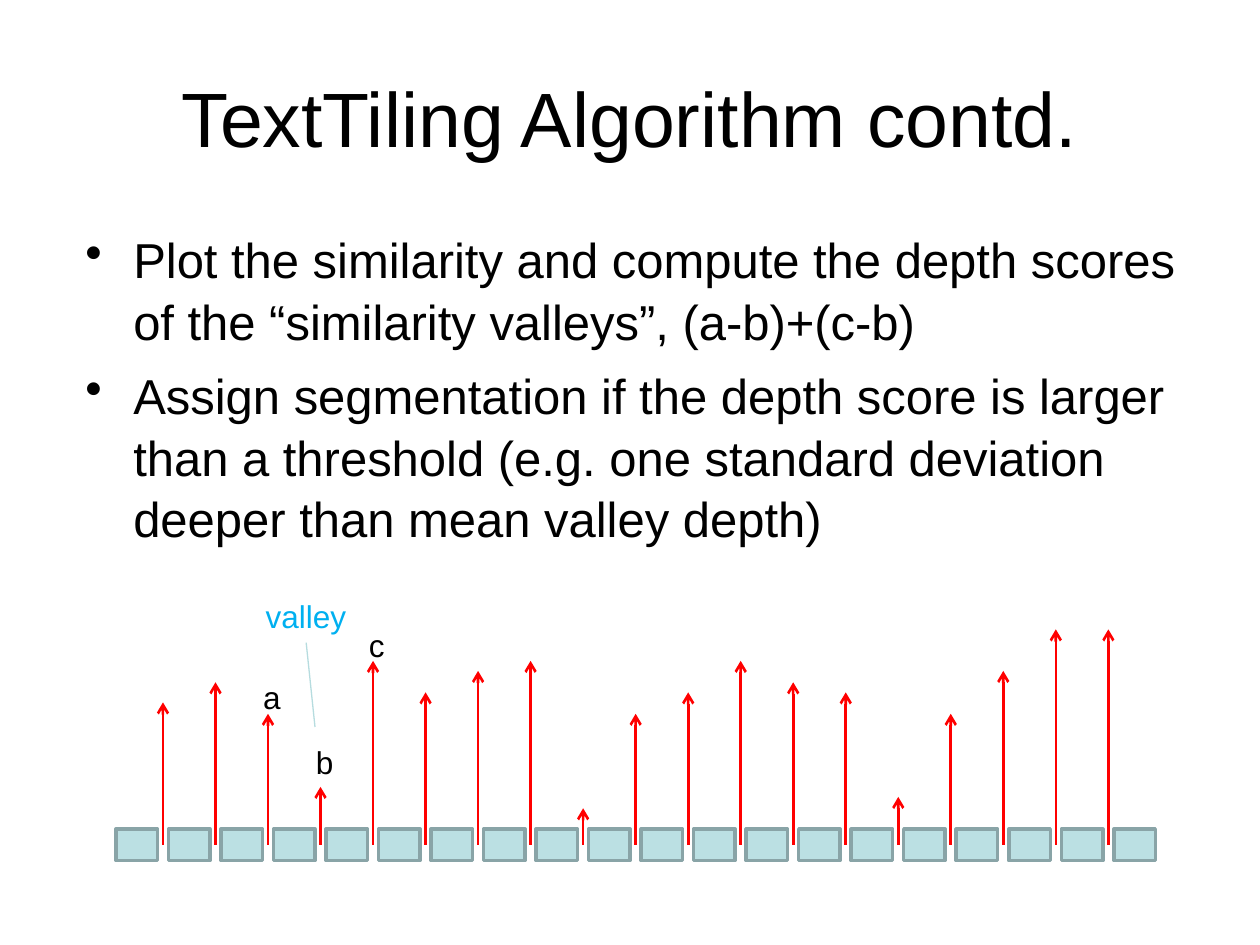
from dataclasses import dataclass

import pptx
import pptx.dml.color
import pptx.enum.shapes
import pptx.enum.text
import pptx.oxml
import pptx.oxml.ns
import pptx.util
from pptx.util import Inches, Pt


def rgb(code):
    return pptx.dml.color.RGBColor.from_string(code)


@dataclass(frozen=True)
class Theme:
    font: str = "Arial"
    text: str = "000000"
    accent: str = "00B0F0"
    block: str = "BBE0E3"
    block_edge: str = "89A4A7"
    arrow: str = "FF0000"
    pointer: str = "B6DCDF"
    title_size: int = 44
    body_size: int = 28
    label_size: int = 18


THEME = Theme()

BULLETS = [
    "Plot the similarity and compute the depth scores of the “similarity valleys”, (a-b)+(c-b)",
    "Assign segmentation if the depth score is larger than a threshold "
    "(e.g. one standard deviation deeper than mean valley depth)",
]

BLOCK_COUNT = 20
# Similarity between each pair of neighbouring blocks, as arrow height in inches
SIMILARITIES = [1.13, 1.29, 1.04, 0.46, 1.46, 1.21, 1.38, 1.46, 0.29, 1.04,
                1.21, 1.46, 1.29, 1.21, 0.38, 1.04, 1.38, 1.71, 1.71]
# Text, offset from the diagram's left and top, width, colour
LABELS = [
    ("a", 1.07, 0.64, 0.34, THEME.text),
    ("b", 1.49, 1.16, 0.34, THEME.text),
    ("c", 1.91, 0.23, 0.32, THEME.text),
    ("valley", 1.09, 0, 0.84, THEME.accent),
]


def style(para, size, color):
    para.font.name = THEME.font
    para.font.size = Pt(size)
    para.font.color.rgb = rgb(color)


def add_child(parent, tag, **attributes):
    child = pptx.oxml.parse_xml(f"<a:{tag} {pptx.oxml.ns.nsdecls('a')}/>")
    for name, value in attributes.items():
        child.set(name, value)
    parent.append(child)


def add_text(page, text, left, top, width, height, size, color=THEME.text):
    box = page.shapes.add_textbox(Inches(left), Inches(top), Inches(width), Inches(height))
    para = box.text_frame.paragraphs[0]
    para.text = text
    style(para, size, color)
    return box.text_frame


def add_line(page, start, end, color, width, arrow=False):
    line = page.shapes.add_connector(
        pptx.enum.shapes.MSO_CONNECTOR.STRAIGHT,
        *(Inches(value) for value in (*start, *end)))
    line.line.color.rgb = rgb(color)
    line.line.width = Pt(width)
    if arrow:
        add_child(line.line._get_or_add_ln(), "tailEnd", type="arrow")
    add_child(line._element.spPr, "effectLst")


def add_title(page, left, top, width, height):
    frame = add_text(page, "TextTiling Algorithm contd.", left, top, width, height,
                     THEME.title_size)
    frame.word_wrap = True
    frame.vertical_anchor = pptx.enum.text.MSO_ANCHOR.MIDDLE
    frame.paragraphs[0].alignment = pptx.enum.text.PP_ALIGN.CENTER


def add_bullets(page, left, top, width, height):
    box = page.shapes.add_textbox(Inches(left), Inches(top), Inches(width), Inches(height))
    frame = box.text_frame
    frame.word_wrap = True
    for index, text in enumerate(BULLETS):
        para = frame.add_paragraph() if index else frame.paragraphs[0]
        para.text = text
        para.space_before = Pt(7)
        para.line_spacing = 1.05
        style(para, THEME.body_size, THEME.text)
        properties = para._p.get_or_add_pPr()
        properties.set("marL", str(Inches(0.38)))
        properties.set("indent", str(-Inches(0.38)))
        bullet = pptx.oxml.parse_xml(f'<a:buChar {pptx.oxml.ns.nsdecls("a")} char="•"/>')
        properties.find(pptx.oxml.ns.qn("a:defRPr")).addprevious(bullet)


def add_similarity_plot(page, left, top, width, height):
    """Row of text blocks with a similarity arrow rising from each gap."""
    block_width, block_height = 0.33, 0.25
    step = (width - block_width) / (BLOCK_COUNT - 1)
    block_top = top + height - block_height
    for index in range(BLOCK_COUNT):
        block = page.shapes.add_shape(
            pptx.enum.shapes.MSO_SHAPE.RECTANGLE,
            Inches(left + index * step), Inches(block_top),
            Inches(block_width), Inches(block_height))
        block.shadow.inherit = False
        block.fill.solid()
        block.fill.fore_color.rgb = rgb(THEME.block)
        block.line.color.rgb = rgb(THEME.block_edge)
        block.line.width = Pt(2)

    base = block_top + block_height / 2
    for index, similarity in enumerate(SIMILARITIES):
        x = left + (index + 1) * step - (step - block_width) / 2
        add_line(page, (x, base), (x, base - similarity), THEME.arrow, 1.5, arrow=True)

    for text, x, y, label_width, color in LABELS:
        frame = add_text(page, text, left + x, top + y, label_width, 0.4,
                         THEME.label_size, color)
        frame.word_wrap = False
        frame.auto_size = pptx.enum.text.MSO_AUTO_SIZE.SHAPE_TO_FIT_TEXT
    add_line(page, (left + 1.51, top + 0.41), (left + 1.58, top + 1.08), THEME.pointer, 0.75)


def main():
    deck = pptx.Presentation()
    deck.slide_width, deck.slide_height = Inches(10), Inches(7.5)
    page = deck.slides.add_slide(deck.slide_layouts[6])
    add_bullets(page, 0.58, 1.75, 9, 4.95)
    add_title(page, 0.5, 0.3, 9, 1.25)
    add_similarity_plot(page, 0.92, 4.69, 8.25, 2.14)
    deck.save("out.pptx")


if __name__ == "__main__":
    main()
